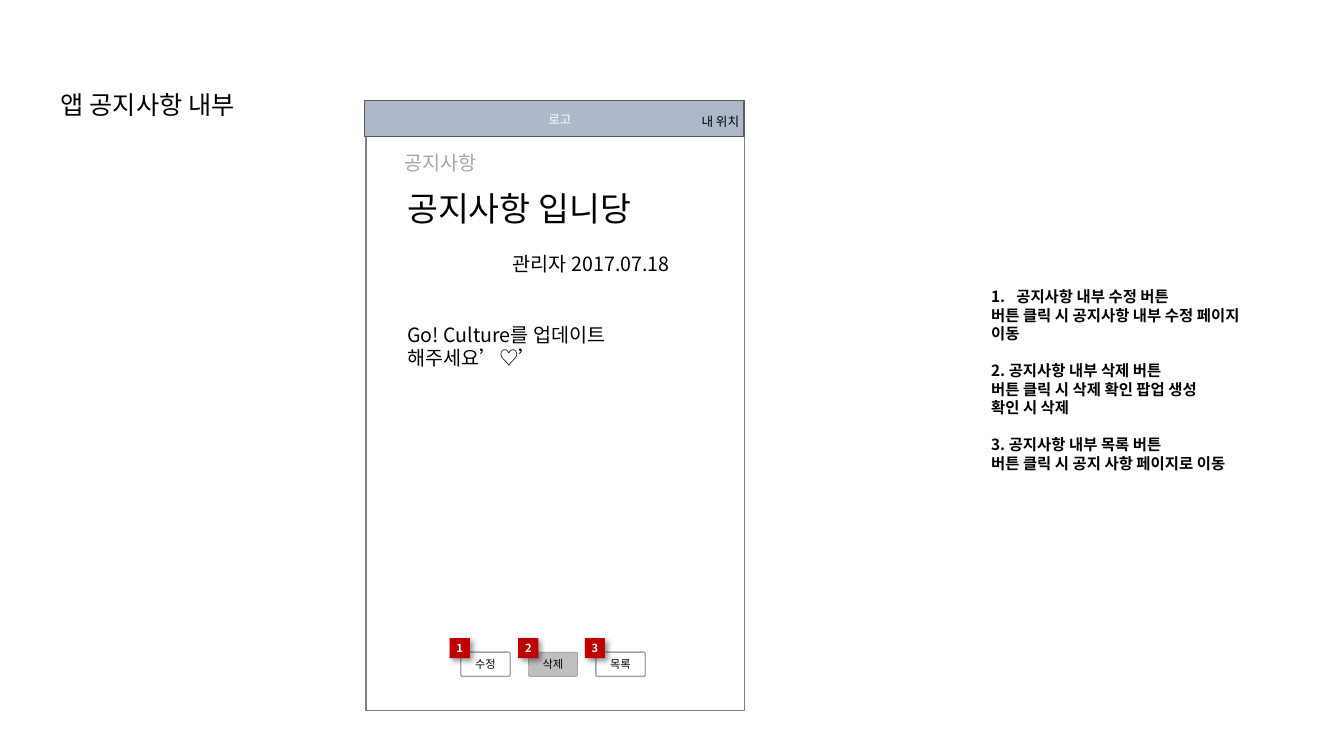
from dataclasses import dataclass

from lxml import etree
from pptx import Presentation
from pptx import util as u
from pptx.dml.color import RGBColor
from pptx.enum import shapes, text
from pptx.oxml import ns

FONT = "Noto Sans CJK KR"
BLACK = RGBColor(0, 0, 0)
WHITE = RGBColor(255, 255, 255)
RED = RGBColor(0xC0, 0, 0)
BLUE = RGBColor(0xAD, 0xB9, 0xCA)
SILVER = RGBColor(0xBF, 0xBF, 0xBF)
PALE = RGBColor(0xA6, 0xA6, 0xA6)
EDGE = RGBColor(0xA5, 0xA5, 0xA5)
GRAY = RGBColor(0x80, 0x80, 0x80)
FRAME = RGBColor(0x7F, 0x7F, 0x7F)
DARK = RGBColor(0x59, 0x59, 0x59)

RECT = shapes.MSO_SHAPE.RECTANGLE
ROUND = shapes.MSO_SHAPE.ROUNDED_RECTANGLE
LEFT, MID, RIGHT = text.PP_ALIGN.LEFT, text.PP_ALIGN.CENTER, text.PP_ALIGN.RIGHT
TOP, CENTER = text.MSO_ANCHOR.TOP, text.MSO_ANCHOR.MIDDLE


@dataclass
class Button:
    label: str
    mark: float
    fill: RGBColor = WHITE
    edge: RGBColor = EDGE
    width: float = 1


@dataclass
class Note:
    label: str
    gap: float = 0
    number: bool = False


BUTTONS = [
    Button("수정", 4.46),
    Button("삭제", 5.14, SILVER, GRAY, 0.25),
    Button("목록", 5.8),
]
NOTES = [
    Note("공지사항 내부 수정 버튼", number=True),
    Note("버튼 클릭 시 공지사항 내부 수정 페이지 이동"),
    Note("2. 공지사항 내부 삭제 버튼", 13.2),
    Note("버튼 클릭 시 삭제 확인 팝업 생성"),
    Note("확인 시 삭제"),
    Note("3. 공지사항 내부 목록 버튼", 13.2),
    Note("버튼 클릭 시 공지 사항 페이지로 이동"),
]


def add(parent, tag: str, **attrs: str):
    return etree.SubElement(parent, ns.qn(tag), attrs)


def write(frame, words: str, *, size: float, color=BLACK, align=LEFT,
          bold: bool = False, gap: float = 0):
    para = frame.paragraphs[0]
    if para.runs:
        para = frame.add_paragraph()
    para.alignment = align
    para.space_before = u.Pt(gap)
    run = para.add_run()
    run.text = words
    font = run.font
    font.size, font.bold, font.name = u.Pt(size), bold, FONT
    font.color.rgb = color
    add(font._element, "a:ea", typeface=FONT)
    return para


def setup(frame, anchor=TOP, side: float = 0.1, ends: float = 0.05,
          wrap: bool = True) -> None:
    frame.word_wrap = wrap
    frame.auto_size = text.MSO_AUTO_SIZE.NONE
    frame.vertical_anchor = anchor
    frame.margin_left = frame.margin_right = u.Inches(side)
    frame.margin_top = frame.margin_bottom = u.Inches(ends)


def place(holder, *box: float) -> None:
    holder.left, holder.top, holder.width, holder.height = map(u.Inches, box)


def panel(parent, kind, box: tuple, fill: RGBColor, edge=None, width: float = 0):
    shape = parent.add_shape(kind, *map(u.Inches, box))
    shape.shadow.inherit = False
    shape.fill.solid()
    shape.fill.fore_color.rgb = fill
    if edge is None:
        shape.line.fill.background()
    else:
        shape.line.color.rgb = edge
        shape.line.width = u.Pt(width)
    return shape


def label(parent, *box: float):
    frame = parent.add_textbox(*map(u.Inches, box)).text_frame
    setup(frame)
    return frame


def button(tree, item: Button, left: float) -> None:
    shape = panel(tree, ROUND, (left, 6.47, 0.49, 0.24), item.fill, item.edge, item.width)
    shape.adjustments[0] = 0.075
    setup(shape.text_frame, CENTER, side=0)
    write(shape.text_frame, item.label, size=8, align=MID)


def badge(tree, left: float, number: int) -> None:
    shape = panel(tree, RECT, (left, 6.33, 0.2, 0.2), RED)
    effects = shape._element.spPr.find(ns.qn("a:effectLst"))
    shade = add(effects, "a:outerShdw", blurRad=str(u.Pt(4)), dist=str(u.Pt(3)),
                dir="2700000", algn="tl", rotWithShape="0")
    tint = add(shade, "a:srgbClr", val="000000")
    add(tint, "a:alpha", val="40000")
    setup(shape.text_frame, CENTER, side=0, ends=0, wrap=False)
    write(shape.text_frame, str(number), size=8, color=WHITE, align=MID, bold=True)


def listing(body) -> None:
    place(body, 9.83, 2.7, 2.71, 2.14)
    frame = body.text_frame
    setup(frame, CENTER, side=0, ends=0)
    for note in NOTES:
        para = write(frame, note.label, size=11, bold=True, gap=note.gap)
        props = para._p.get_or_add_pPr()
        indent = u.Inches(0.25) if note.number else 0
        props.set("marL", str(indent))
        props.set("indent", str(-indent))
        if note.number:
            add(props, "a:buFont", typeface="+mj-lt")
            add(props, "a:buAutoNum", type="arabicPeriod")
        else:
            add(props, "a:buNone")


def main() -> None:
    deck = Presentation()
    deck.slide_width, deck.slide_height = u.Inches(13.33), u.Inches(7.5)
    slide = deck.slides.add_slide(deck.slide_layouts[1])
    tree = slide.shapes

    title = tree.title
    place(title, 0.28, 0.84, 2.37, 0.28)
    setup(title.text_frame)
    write(title.text_frame, "앱 공지사항 내부", size=18, align=MID)
    listing(slide.placeholders[1])

    panel(tree, RECT, (3.63, 1.08, 3.75, 5.97), WHITE, FRAME, 0.75)
    header = tree.add_group_shape().shapes
    panel(header, RECT, (3.62, 1, 3.76, 0.35), BLUE, DARK, 0.75)
    write(label(header, 5.34, 1.06, 1.06, 0.31), "로고", size=9, color=WHITE)
    write(label(header, 6.86, 1.08, 0.7, 0.25), "내 위치", size=9)

    post = label(tree, 3.94, 1.81, 2.8, 1.92)
    write(post, "공지사항 입니당", size=24)
    write(post, "관리자 2017.07.18", size=14, align=RIGHT, gap=17)
    write(post, "Go! Culture를 업데이트 해주세요’♡’", size=14, gap=34)
    write(label(tree, 3.91, 1.45, 1.88, 0.34), "공지사항", size=14, color=PALE)

    for index, item in enumerate(BUTTONS):
        button(tree, item, 4.57 + 0.67 * index)
        badge(tree, item.mark, index + 1)
    deck.save("out.pptx")


if __name__ == "__main__":
    main()
